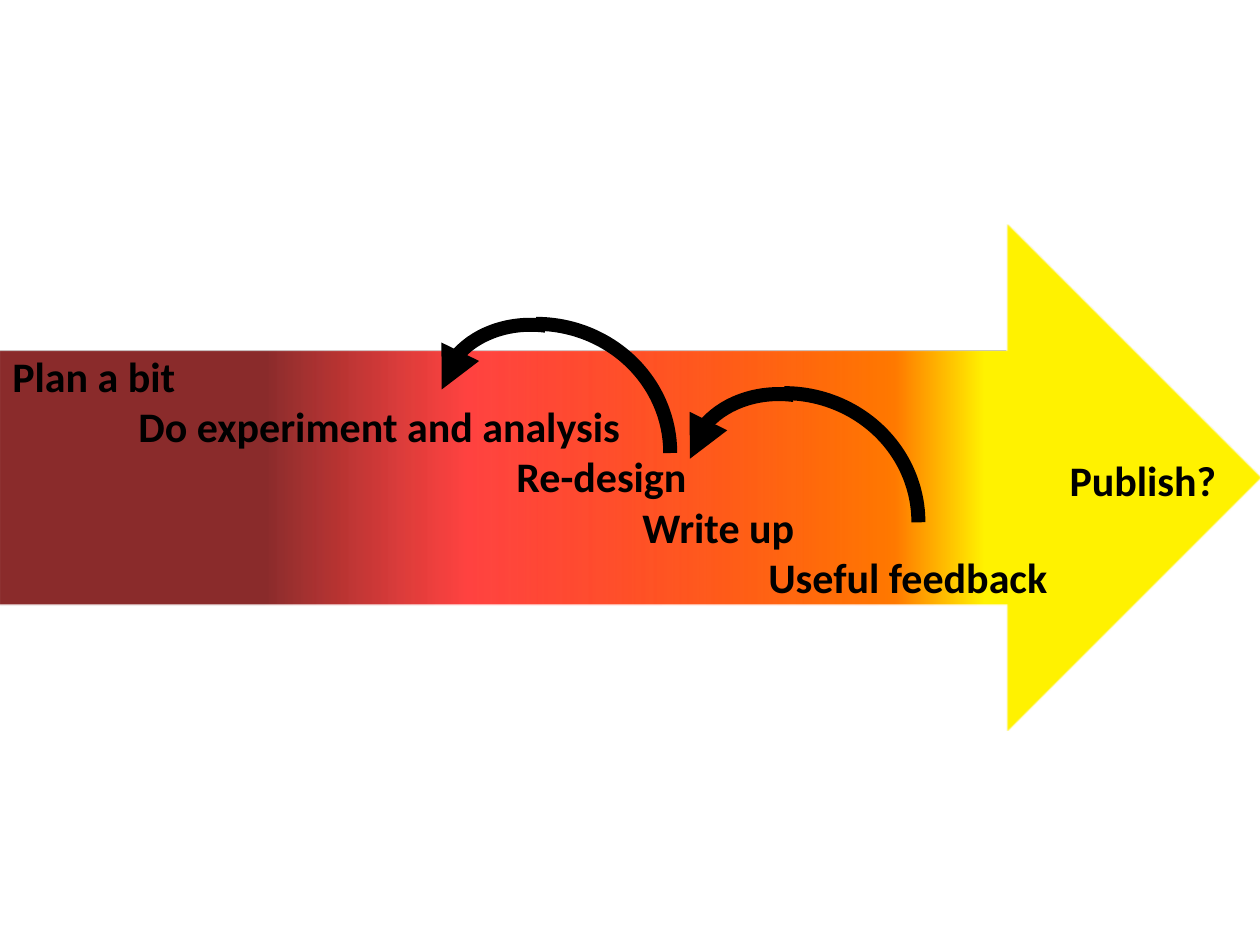
from lxml import etree
from pptx import Presentation
from pptx import util as u
from pptx.dml.color import RGBColor
from pptx.enum import shapes, text
from pptx.oxml import ns

BLACK = RGBColor(0x00, 0x00, 0x00)
YELLOW = RGBColor(0xFF, 0xF2, 0x00)
ORANGE = RGBColor(0xFF, 0x7A, 0x00)
RED = RGBColor(0xFF, 0x03, 0x00)
MAROON = RGBColor(0x75, 0x05, 0x05)

HEAT_STOPS = [(22, YELLOW, 100), (29, ORANGE, 100), (63, RED, 74), (79, MAROON, 84)]
STEPS = [
    ("Plan a bit", 0),
    ("Do experiment and analysis", 1),
    ("Re-design", 4),
    ("Write up", 5),
    ("Useful feedback", 6),
]
LOOP_CORNERS = [(3.19, 2.57), (5.16, 3.12)]


class Slide:
    font_format = {"name": "Calibri", "size": u.Pt(24), "bold": True}
    frame_format = {"word_wrap": True, "auto_size": text.MSO_AUTO_SIZE.SHAPE_TO_FIT_TEXT}
    arc_width = u.Pt(8)

    def __init__(self, page):
        self.page = page

    def shape(self, kind, left, top, width, height):
        lengths = [u.Inches(value) for value in (left, top, width, height)]
        shape = self.page.shapes.add_shape(kind, *lengths)
        shape.shadow.inherit = False
        return shape

    def gradient_arrow(self, left, top, width, height, stops):
        arrow = self.shape(shapes.MSO_SHAPE.RIGHT_ARROW, left, top, width, height)
        arrow.line.fill.background()
        arrow.fill.gradient()
        arrow.fill.gradient_angle = 180
        stop_list = arrow._element.spPr.find(".//" + ns.qn("a:gsLst"))
        for old_stop in list(stop_list):
            stop_list.remove(old_stop)
        for position, color, opacity in stops:
            stop = etree.SubElement(stop_list, ns.qn("a:gs"), pos=str(position * 1000))
            fill = etree.SubElement(stop, ns.qn("a:srgbClr"), val=str(color))
            if opacity < 100:
                etree.SubElement(fill, ns.qn("a:alpha"), val=str(opacity * 1000))

    def text_box(self, left, top, width, height, lines):
        lengths = [u.Inches(value) for value in (left, top, width, height)]
        frame = self.page.shapes.add_textbox(*lengths).text_frame
        for name, value in self.frame_format.items():
            setattr(frame, name, value)
        for index, (words, indent) in enumerate(lines):
            para = frame.add_paragraph() if index else frame.paragraphs[0]
            para._p.get_or_add_pPr().set("marL", str(u.Inches(indent)))
            span = para.add_run()
            span.text = words
            for name, value in self.font_format.items():
                setattr(span.font, name, value)
            span.font.color.rgb = BLACK

    def arc(self, left, top, width, height, rotation=0, arrowhead=False):
        arc = self.shape(shapes.MSO_SHAPE.ARC, left, top, width, height)
        arc.rotation = rotation
        arc.fill.background()
        arc.line.color.rgb = BLACK
        arc.line.width = self.arc_width
        if arrowhead:
            line = arc.line._get_or_add_ln()
            etree.SubElement(line, ns.qn("a:headEnd"), type="triangle")

    def loop_back(self, left, top):
        self.arc(left, top, 2.13, 2.05)
        self.arc(left + 0.46, top - 0.14, 1.21, 1.51, rotation=277.2, arrowhead=True)


def main():
    deck = Presentation()
    deck.slide_width = u.Inches(10)
    deck.slide_height = u.Inches(7.5)
    slide = Slide(deck.slides.add_slide(deck.slide_layouts[6]))
    slide.gradient_arrow(0, 1.78, 10, 4.02, HEAT_STOPS)
    slide.text_box(0, 2.73, 10, 2.12, STEPS)
    slide.text_box(8.39, 3.56, 2.36, 0.5, [("Publish?", 0)])
    for left, top in LOOP_CORNERS:
        slide.loop_back(left, top)
    deck.save("out.pptx")


if __name__ == "__main__":
    main()
